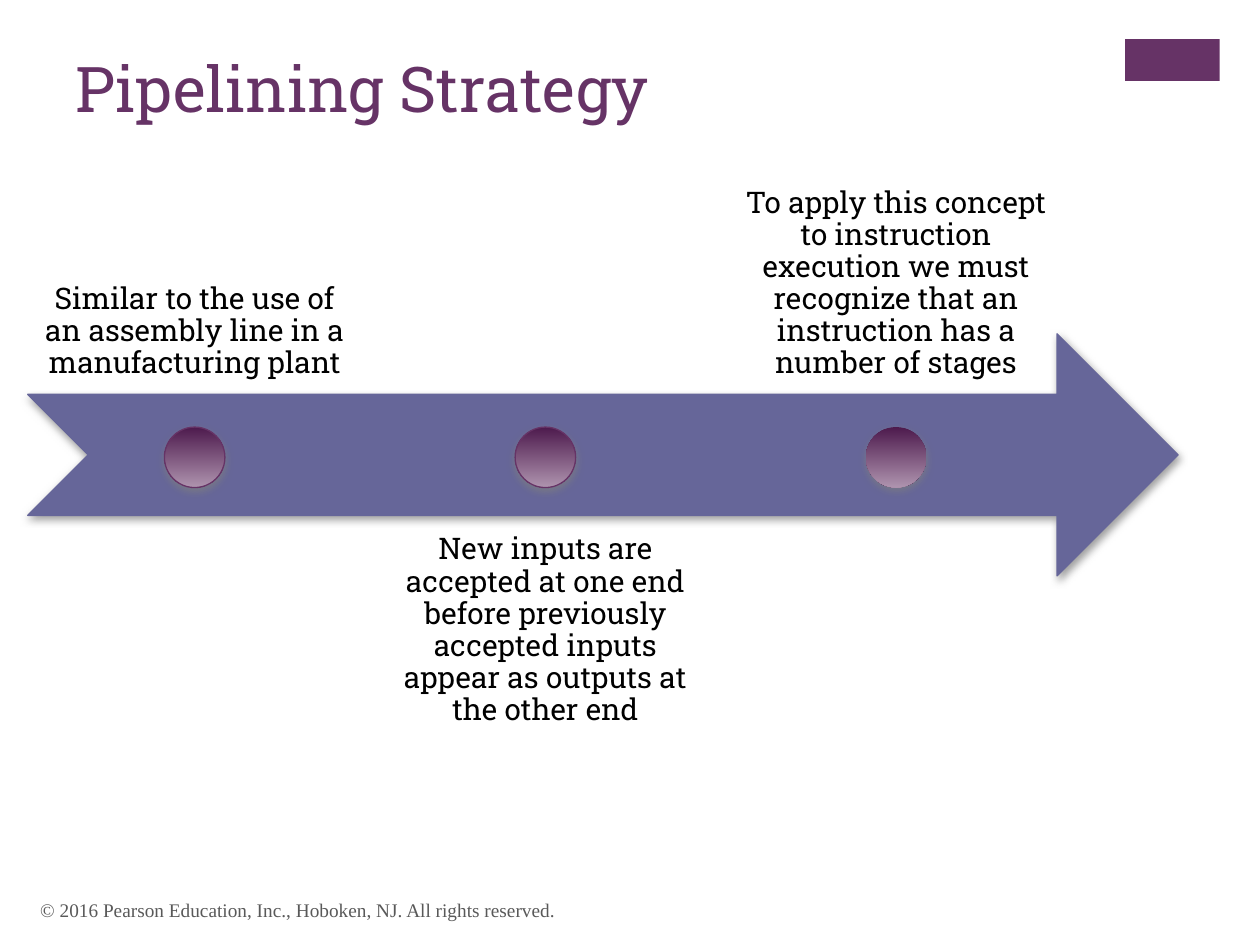
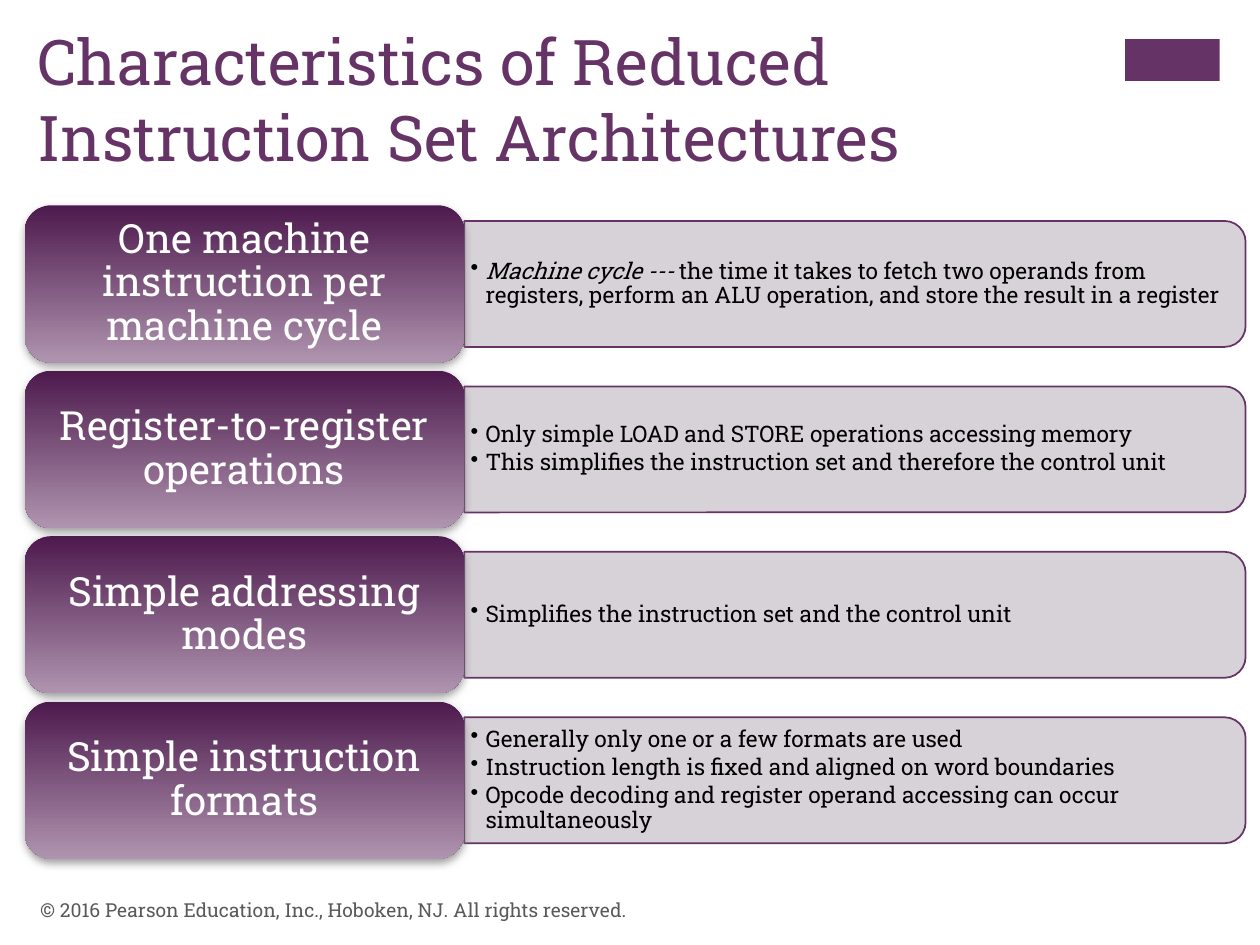
from lxml import etree
from pptx import Presentation
from pptx.dml.color import RGBColor
from pptx.enum.shapes import MSO_SHAPE as Shape
from pptx.enum.text import MSO_ANCHOR as Anchor, MSO_AUTO_SIZE as AutoSize, PP_ALIGN as Align
from pptx.oxml.ns import qn
from pptx.util import Cm, Pt

# Shared look
PLUM, PLUM_DARK, PLUM_LIGHT = "663366", "4D1A4D", "AF94AF"
SLATE, PANEL, GREY, SHADE = "666699", "D3CED3", "595959", "808080"
BLACK, WHITE = "000000", "FFFFFF"
SLAB, SERIF = "Roboto Slab", "Times New Roman"
COPYRIGHT = "© 2016 Pearson Education, Inc., Hoboken, NJ. All rights reserved."

# Content
STRATEGY = [
    "Similar to the use of an assembly line in a manufacturing plant",
    "New inputs are accepted at one end before previously accepted inputs "
    "appear as outputs at the other end",
    "To apply this concept to instruction execution we must recognize that "
    "an instruction has a number of stages",
]
# Each bullet is a pair: italic lead and plain remainder
CHARACTERISTICS = [
    ("One machine instruction per machine cycle",
     [("Machine cycle --- ",
       "the time it takes to fetch two operands from registers, perform an "
       "ALU operation, and store the result in a register")]),
    ("Register-to-register operations",
     [("", "Only simple LOAD and STORE operations accessing memory"),
      ("", "This simplifies the instruction set and therefore the control unit")]),
    ("Simple addressing modes",
     [("", "Simplifies the instruction set and the control unit")]),
    ("Simple instruction formats",
     [("", "Generally only one or a few formats are used"),
      ("", "Instruction length is fixed and aligned on word boundaries"),
      ("", "Opcode decoding and register operand accessing can occur simultaneously")]),
]


def rgb(value):
    return RGBColor.from_string(value)


def add_child(parent, tag, **attributes):
    child = etree.SubElement(parent, qn(tag))
    for key, value in attributes.items():
        child.set(key, str(value))
    return child


def style_font(font, size, color, name=SLAB):
    font.name, font.size = name, Pt(size)
    font.color.rgb = rgb(color)


def set_frame(frame, anchor, inset_x=0.25, inset_y=0.13):
    frame.word_wrap = True
    frame.auto_size = AutoSize.NONE
    frame.vertical_anchor = anchor
    frame.margin_left = frame.margin_right = Cm(inset_x)
    frame.margin_top = frame.margin_bottom = Cm(inset_y)


def write(frame, text, size, color, align=Align.LEFT, spacing=1.0, name=SLAB):
    frame.text = text
    paragraph = frame.paragraphs[0]
    paragraph.alignment = align
    paragraph.line_spacing = spacing
    style_font(paragraph.runs[0].font, size, color, name)


def add_box(slide, left, top, width, height):
    box = slide.shapes.add_textbox(Cm(left), Cm(top), Cm(width), Cm(height))
    return box.text_frame


def add_figure(slide, preset, left, top, width, height, fill=None, line=None, weight=0.75):
    figure = slide.shapes.add_shape(preset, Cm(left), Cm(top), Cm(width), Cm(height))
    figure.shadow.inherit = False
    if fill:
        figure.fill.solid()
        figure.fill.fore_color.rgb = rgb(fill)
    if line:
        figure.line.color.rgb = rgb(line)
        figure.line.width = Pt(weight)
    else:
        figure.line.fill.background()
    return figure


def cast_shadow(figure):
    effects = figure.element.spPr.find(qn("a:effectLst"))
    shadow = add_child(effects, "a:outerShdw", blurRad=Pt(5), dist=Pt(2),
                       dir=90 * 60000, rotWithShape=0)
    color = add_child(shadow, "a:srgbClr", val=SHADE)
    add_child(color, "a:alpha", val=75000)


def shade_plum(figure):
    figure.fill.gradient()
    figure.fill.gradient_angle = 270
    for stop, color, position in zip(figure.fill.gradient_stops,
                                     (PLUM_DARK, PLUM_LIGHT), (0, 1)):
        stop.color.rgb = rgb(color)
        stop.position = position
    cast_shadow(figure)


def start_slide(deck, heading, left, top, copyright_font):
    """Title, corner band and copyright line."""
    slide = deck.slides.add_slide(deck.slide_layouts[5])
    add_figure(slide, Shape.RECTANGLE, 22.68, 0.79, 1.91, 0.84, PLUM)
    title = slide.shapes.title
    title.left, title.top, title.width, title.height = Cm(left), Cm(top), Cm(20.98), Cm(3.1)
    set_frame(title.text_frame, Anchor.TOP)
    write(title.text_frame, heading, 36, PLUM)
    footer = add_box(slide, 0.56, 17.83, 17.02, 1.02)
    set_frame(footer, Anchor.MIDDLE)
    write(footer, COPYRIGHT, 11, GREY, name=copyright_font)
    return slide


def add_milestone(slide, index, text):
    """Dot on the arrow, with its label alternately above and below."""
    above = index % 2 == 0
    left, label_width, dot_size = 0.56 + 7.07 * index, 6.73, 1.22
    label = add_box(slide, left, 3.12 if above else 10.44, label_width, 4.88)
    set_frame(label, Anchor.BOTTOM if above else Anchor.TOP, 0.33, 0.33)
    write(label, text, 17, BLACK, Align.CENTER, 0.9)
    last = index == len(STRATEGY) - 1
    dot = add_figure(slide, Shape.OVAL, left + (label_width - dot_size) / 2, 8.61,
                     dot_size, dot_size, line=None if last else PLUM)
    shade_plum(dot)


def add_bullet(paragraph, lead, rest):
    properties = paragraph._p.get_or_add_pPr()
    properties.set("marL", str(Cm(0.3)))
    properties.set("indent", str(-Cm(0.3)))
    add_child(properties, "a:buChar", char="•")
    paragraph.line_spacing = 0.9
    paragraph.space_after = Pt(2)
    for text, italic in ((lead, True), (rest, False)):
        if text:
            run = paragraph.add_run()
            run.text = text
            run.font.italic = italic
            style_font(run.font, 13, BLACK)


def add_characteristic(slide, index, name, bullets):
    """Plum name block with a pale panel of bullets to its right."""
    top, name_height = 4.14 + 3.335 * index, 3.17
    middle = top + name_height / 2
    panel_left, panel_width, panel_height = 9.36, 15.75, 2.54

    # The panel is an upright shape turned a quarter about its centre
    panel = add_figure(slide, Shape.ROUND_2_SAME_RECTANGLE,
                       panel_left + (panel_width - panel_height) / 2,
                       middle - panel_width / 2, panel_height, panel_width, PANEL, PLUM, 1)
    panel.rotation = 90
    color = panel.element.spPr.find(qn("a:solidFill")).find(qn("a:srgbClr"))
    add_child(color, "a:alpha", val=90000)

    details = add_box(slide, panel_left, middle - 1.15, 15.62, 2.3)
    set_frame(details, Anchor.MIDDLE, 0.13, 0.08)
    for position, (lead, rest) in enumerate(bullets):
        paragraph = details.add_paragraph() if position else details.paragraphs[0]
        add_bullet(paragraph, lead, rest)

    block = add_figure(slide, Shape.ROUNDED_RECTANGLE, 0.5, top, 8.86, name_height)
    shade_plum(block)
    set_frame(block.text_frame, Anchor.MIDDLE, 0.25, 0.13)
    write(block.text_frame, name, 23, WHITE, Align.CENTER, 0.9)


def main():
    deck = Presentation()
    deck.slide_width, deck.slide_height = Cm(25.4), Cm(19.05)

    # Pipelining strategy
    pipelining = start_slide(deck, "Pipelining Strategy", 1.27, 0.86, SERIF)
    arrow = add_figure(pipelining, Shape.NOTCHED_RIGHT_ARROW, 0.56, 6.73, 23.19, 4.88,
                       SLATE, SLATE)
    cast_shadow(arrow)
    for index, text in enumerate(STRATEGY):
        add_milestone(pipelining, index, text)

    # Reduced instruction set characteristics
    reduced = start_slide(deck, "Characteristics of Reduced Instruction Set Architectures",
                          0.5, 0.33, SLAB)
    for index, (name, bullets) in enumerate(CHARACTERISTICS):
        add_characteristic(reduced, index, name, bullets)

    deck.save("out.pptx")


if __name__ == "__main__":
    main()
